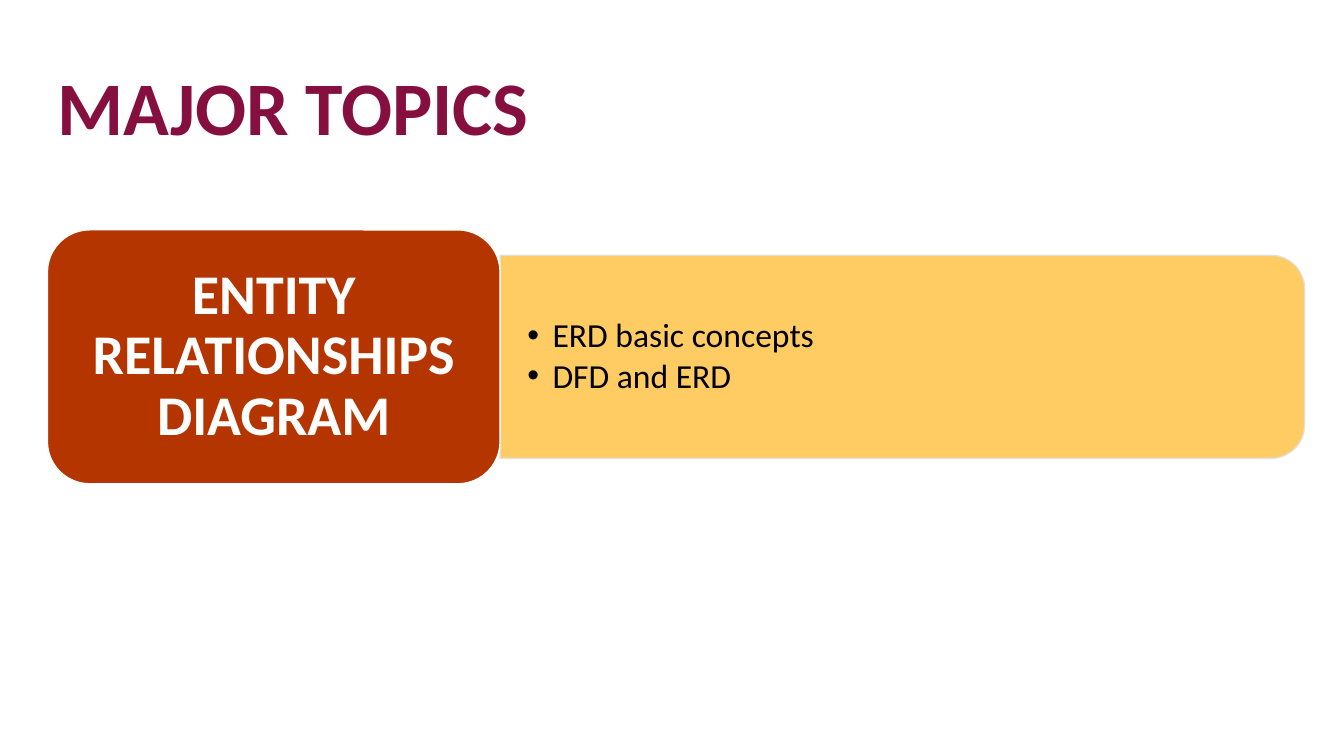
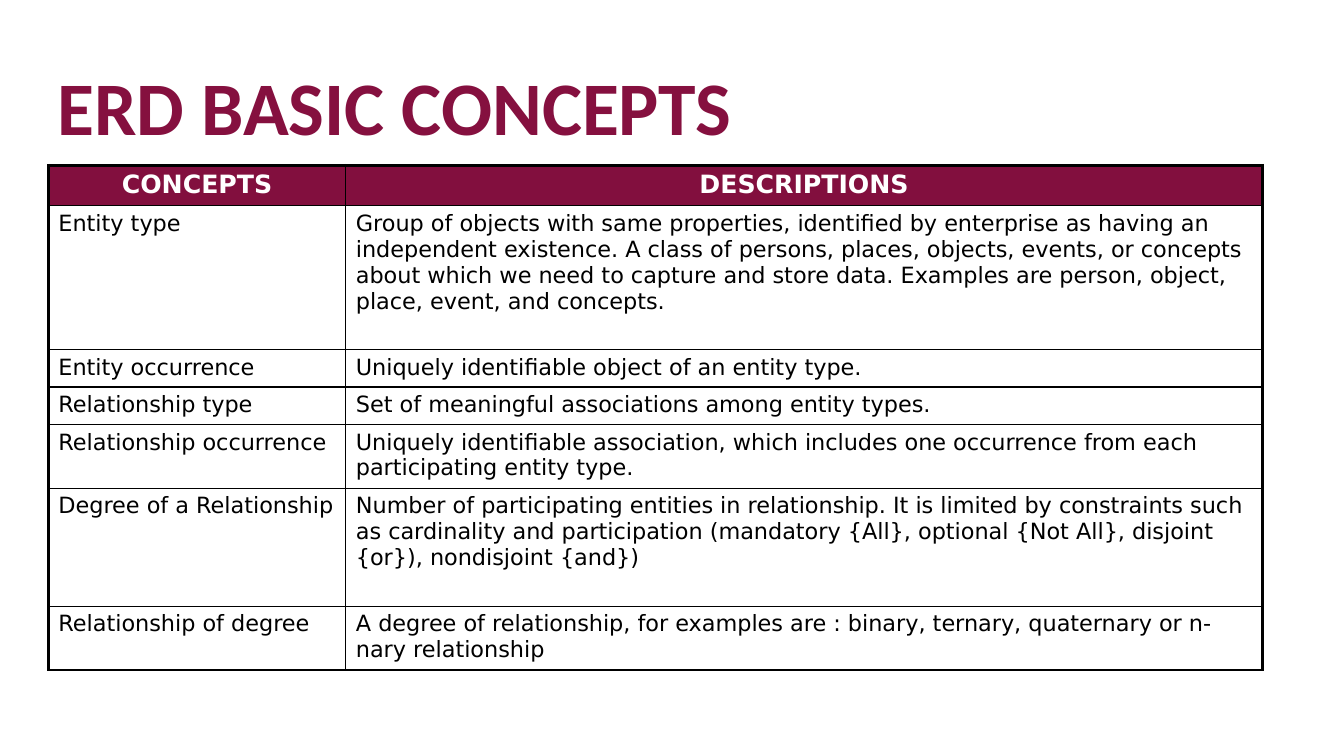
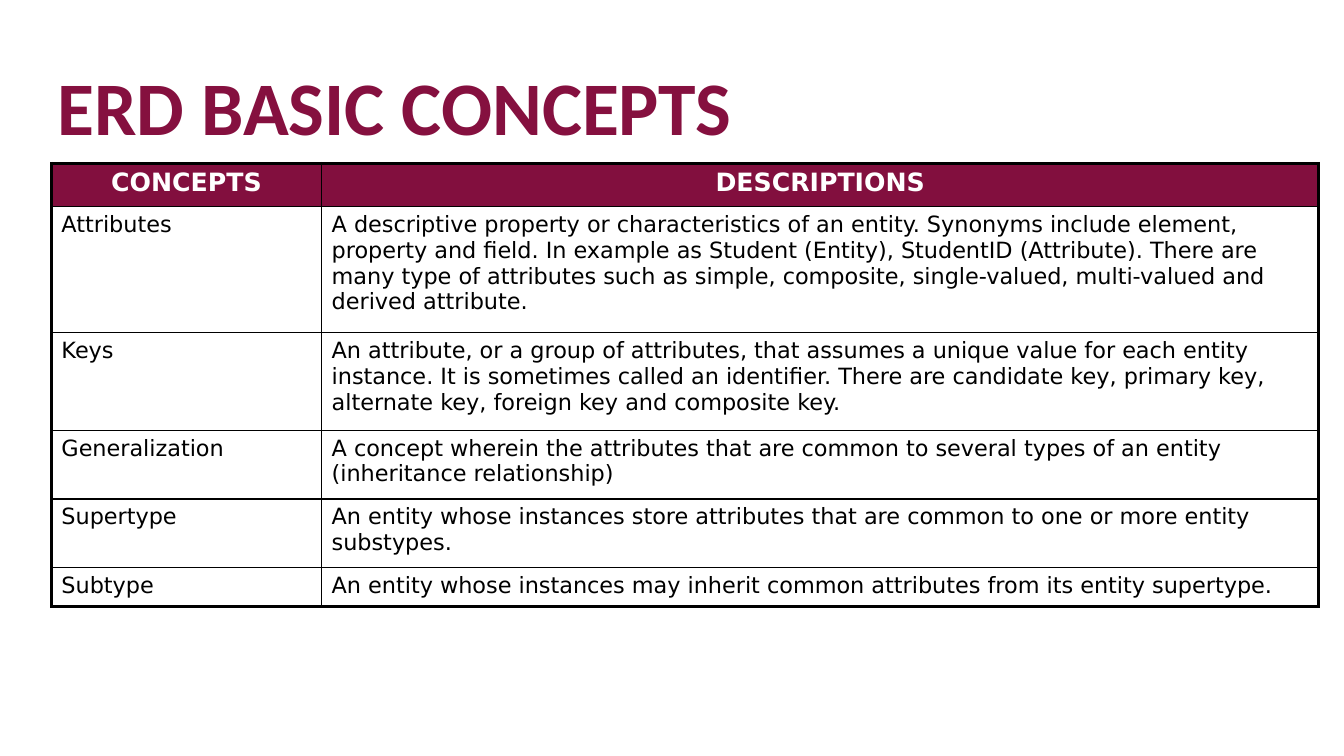
from lxml.etree import SubElement
from pptx import Presentation
from pptx.dml.color import RGBColor
from pptx.enum.shapes import MSO_SHAPE
from pptx.enum.text import MSO_ANCHOR, PP_ALIGN
from pptx.oxml.ns import qn
from pptx.util import Inches, Pt

COLORS = {
    "title": "85103F",
    "header": "820F3E",
    "label": "B43500",
    "panel": "FFCB63",
    "panel_line": "E1E1E1",
    "white": "FFFFFF",
    "black": "000000",
}
TITLE_FONT = "Calibri"
TABLE_FONT = "DejaVu Sans"
OUTER_BORDER, INNER_BORDER = 2.25, 1

TOPIC = "ENTITY RELATIONSHIPS DIAGRAM"
TOPIC_POINTS = ["ERD basic concepts", "DFD and ERD"]
TABLE_HEADER = ("CONCEPTS", "DESCRIPTIONS")
ENTITY_CONCEPTS = [
    ("Entity type",
     "Group of objects with same properties, identified by enterprise as having an independent "
     "existence. A class of persons, places, objects, events, or concepts about which we need to "
     "capture and store data. Examples are person, object, place, event, and concepts."),
    ("Entity occurrence", "Uniquely identifiable object of an entity type."),
    ("Relationship type", "Set of meaningful associations among entity types."),
    ("Relationship occurrence",
     "Uniquely identifiable association, which includes one occurrence from each participating "
     "entity type."),
    ("Degree of a Relationship",
     "Number of participating entities in relationship. It is limited by constraints such as "
     "cardinality and participation (mandatory {All}, optional {Not All}, disjoint {or}), "
     "nondisjoint {and})"),
    ("Relationship of degree",
     "A degree of relationship, for examples are : binary, ternary, quaternary or n-nary "
     "relationship"),
]
ATTRIBUTE_CONCEPTS = [
    ("Attributes",
     "A descriptive property or characteristics of an entity. Synonyms include element, property "
     "and field. In example as Student (Entity), StudentID (Attribute). There are many type of "
     "attributes such as simple, composite, single-valued, multi-valued and derived attribute."),
    ("Keys",
     "An attribute, or a group of attributes, that assumes a unique value for each entity "
     "instance. It is sometimes called an identifier. There are candidate key, primary key, "
     "alternate key, foreign key and composite key."),
    ("Generalization",
     "A concept wherein the attributes that are common to several types of an entity "
     "(inheritance relationship)"),
    ("Supertype",
     "An entity whose instances store attributes that are common to one or more entity "
     "substypes."),
    ("Subtype",
     "An entity whose instances may inherit common attributes from its entity supertype."),
]


def rgb(name):
    """Return the named colour."""
    return RGBColor.from_string(COLORS[name])


def format_font(paragraph, size, color, name, bold=False):
    """Set the font of every run in a paragraph."""
    for run in paragraph.runs:
        run.font.size = Pt(size)
        run.font.name = name
        run.font.bold = bold
        run.font.color.rgb = rgb(color)


def set_insets(text_frame, horizontal, vertical):
    """Set equal insets on opposite sides of a wrapping text frame."""
    text_frame.word_wrap = True
    text_frame.margin_left = text_frame.margin_right = Inches(horizontal)
    text_frame.margin_top = text_frame.margin_bottom = Inches(vertical)


def add_box(slide, kind, left, top, width, height, fill, line):
    """Add a filled and outlined preset shape without a shadow."""
    shape = slide.shapes.add_shape(
        kind, Inches(left), Inches(top), Inches(width), Inches(height))
    shape.shadow.inherit = False
    shape.fill.solid()
    shape.fill.fore_color.rgb = rgb(fill)
    shape.line.color.rgb = rgb(line)
    shape.line.width = Pt(1)
    return shape


def add_bullet(paragraph, indent):
    """Give a paragraph a hanging round bullet."""
    properties = paragraph._p.get_or_add_pPr()
    properties.set("marL", str(Inches(indent)))
    properties.set("indent", str(-Inches(indent)))
    SubElement(properties, qn("a:buFont")).set("typeface", "Arial")
    SubElement(properties, qn("a:buChar")).set("char", "•")


def add_titled_slide(presentation, title):
    """Add a blank-layout slide with the shared title."""
    slide = presentation.slides.add_slide(presentation.slide_layouts[6])
    box = slide.shapes.add_textbox(Inches(0.47), Inches(0.65), Inches(11.5), Inches(1.06))
    box.text_frame.word_wrap = True
    paragraph = box.text_frame.paragraphs[0]
    paragraph.text = title
    paragraph.line_spacing = 0.9
    format_font(paragraph, 54, "title", TITLE_FONT, bold=True)
    return slide


def add_topic_panel(slide, left, top, width, height, points):
    """Add a panel rounded on its right side, with a bulleted list."""
    panel = add_box(slide, MSO_SHAPE.ROUND_2_SAME_RECTANGLE,
                    left + (width - height) / 2, top + (height - width) / 2,
                    height, width, "panel", "panel_line")
    panel.rotation = 90
    line_color = panel.line._ln.find(".//" + qn("a:srgbClr"))
    SubElement(line_color, qn("a:alpha")).set("val", "90000")

    box = slide.shapes.add_textbox(
        Inches(left), Inches(top + 0.1), Inches(width - 0.1), Inches(height - 0.2))
    text_frame = box.text_frame
    set_insets(text_frame, 0.27, 0.14)
    text_frame.vertical_anchor = MSO_ANCHOR.MIDDLE
    text_frame.text = "\n".join(points)
    for paragraph in text_frame.paragraphs:
        paragraph.line_spacing = 0.9
        paragraph.space_after = Pt(3)
        add_bullet(paragraph, 0.25)
        format_font(paragraph, 24, "black", TITLE_FONT)


def add_topic_label(slide, left, top, width, height, text):
    """Add the rounded label that names a topic."""
    label = add_box(slide, MSO_SHAPE.ROUNDED_RECTANGLE,
                    left, top, width, height, "label", "white")
    set_insets(label.text_frame, 0.17, 0.08)
    label.text_frame.vertical_anchor = MSO_ANCHOR.MIDDLE
    paragraph = label.text_frame.paragraphs[0]
    paragraph.text = text
    paragraph.alignment = PP_ALIGN.CENTER
    paragraph.line_spacing = 0.9
    format_font(paragraph, 40, "white", TITLE_FONT, bold=True)


def add_topic_row(slide, left, top, width, height, topic, points):
    """Place a topic label and its panel side by side."""
    label_width = 4.49
    panel_height = height * 0.8
    add_topic_panel(slide, left + label_width, top + (height - panel_height) / 2,
                    width - label_width, panel_height, points)
    add_topic_label(slide, left, top, label_width, height, topic)


def set_borders(cell, widths):
    """Draw black cell borders from widths keyed by side."""
    properties = cell._tc.get_or_add_tcPr()
    for side in "LRTB":
        line = SubElement(properties, qn(f"a:ln{side}"), w=str(Pt(widths[side])))
        fill = SubElement(line, qn("a:solidFill"))
        SubElement(fill, qn("a:srgbClr")).set("val", COLORS["black"])


def format_cell(cell, text, is_header):
    """Fill in a header or body cell."""
    cell.text = text
    paragraph = cell.text_frame.paragraphs[0]
    if is_header:
        cell.fill.solid()
        cell.fill.fore_color.rgb = rgb("header")
        paragraph.alignment = PP_ALIGN.CENTER
        format_font(paragraph, 18, "white", TABLE_FONT, bold=True)
    else:
        cell.fill.background()
        format_font(paragraph, 16, "black", TABLE_FONT)


def add_concept_table(slide, left, top, column_widths, row_heights, concepts):
    """Add a concept table with a heavy frame and thin inner rules."""
    rows = [TABLE_HEADER, *concepts]
    table = slide.shapes.add_table(
        len(rows), len(column_widths), Inches(left), Inches(top),
        Inches(sum(column_widths)), Inches(sum(row_heights))).table
    table.first_row = False
    table.horz_banding = False
    for column, width in zip(table.columns, column_widths):
        column.width = Inches(width)
    last_row, last_column = len(rows) - 1, len(column_widths) - 1
    for row_index, (texts, height) in enumerate(zip(rows, row_heights)):
        table.rows[row_index].height = Inches(height)
        for column_index, text in enumerate(texts):
            on_frame = {"L": column_index == 0, "R": column_index == last_column,
                        "T": row_index == 0, "B": row_index == last_row}
            cell = table.cell(row_index, column_index)
            set_borders(cell, {side: OUTER_BORDER if outer else INNER_BORDER
                               for side, outer in on_frame.items()})
            format_cell(cell, text, row_index == 0)


def main():
    """Build and save the presentation."""
    presentation = Presentation()
    presentation.slide_width = Inches(13.33)
    presentation.slide_height = Inches(7.5)

    slide = add_titled_slide(presentation, "MAJOR TOPICS")
    add_topic_row(slide, 0.47, 2.28, 12.47, 2.52, TOPIC, TOPIC_POINTS)

    slide = add_titled_slide(presentation, "ERD BASIC CONCEPTS")
    add_concept_table(slide, 0.48, 1.64, [2.95, 9.09],
                      [0.4, 1.43, 0.37, 0.37, 0.63, 1.17, 0.63], ENTITY_CONCEPTS)

    slide = add_titled_slide(presentation, "ERD BASIC CONCEPTS")
    add_concept_table(slide, 0.51, 1.62, [2.68, 9.89],
                      [0.43, 1.25, 0.97, 0.68, 0.68, 0.39], ATTRIBUTE_CONCEPTS)

    presentation.save("out.pptx")


if __name__ == "__main__":
    main()
